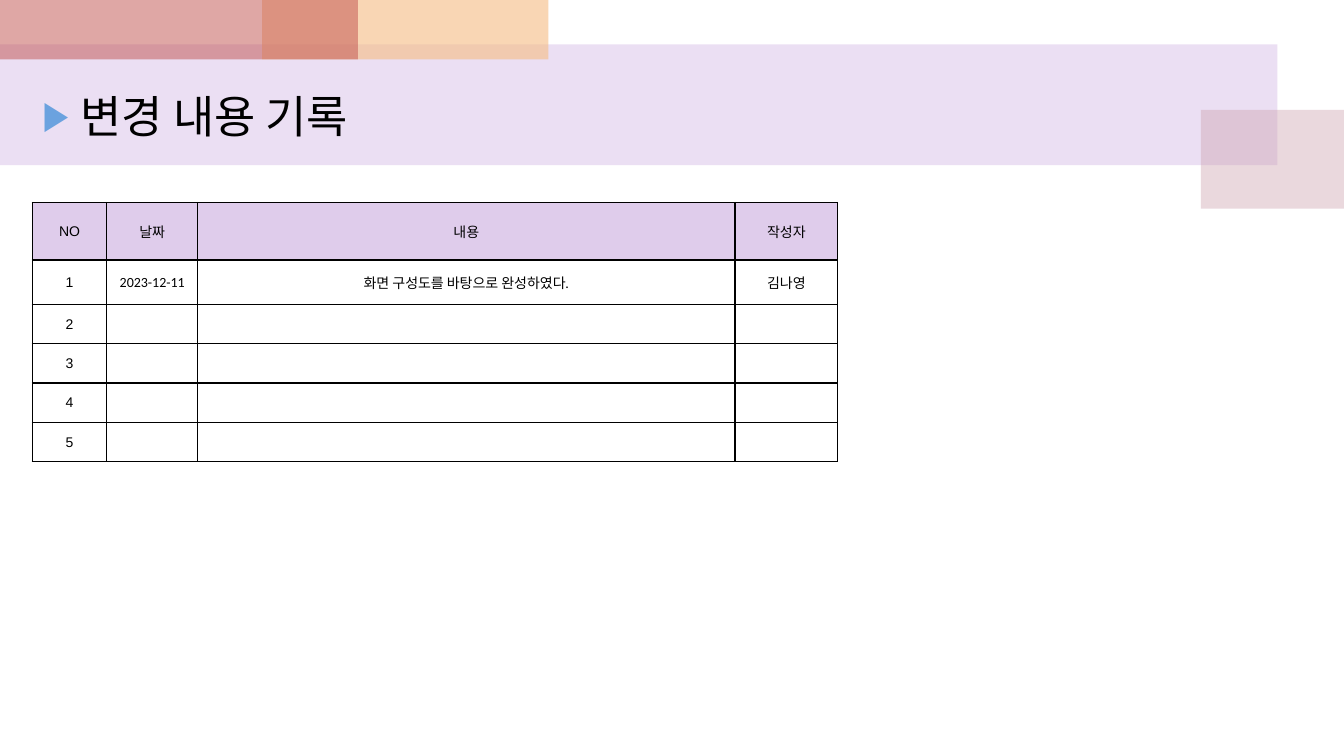
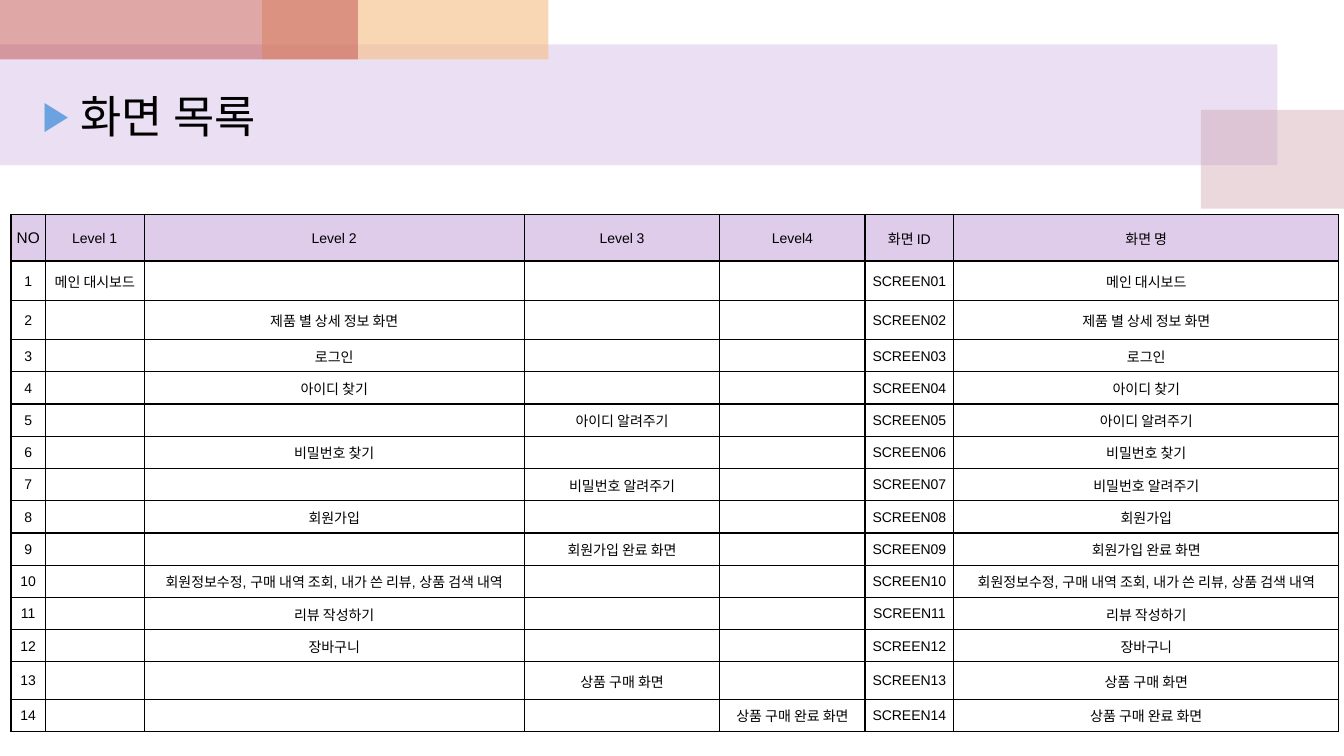
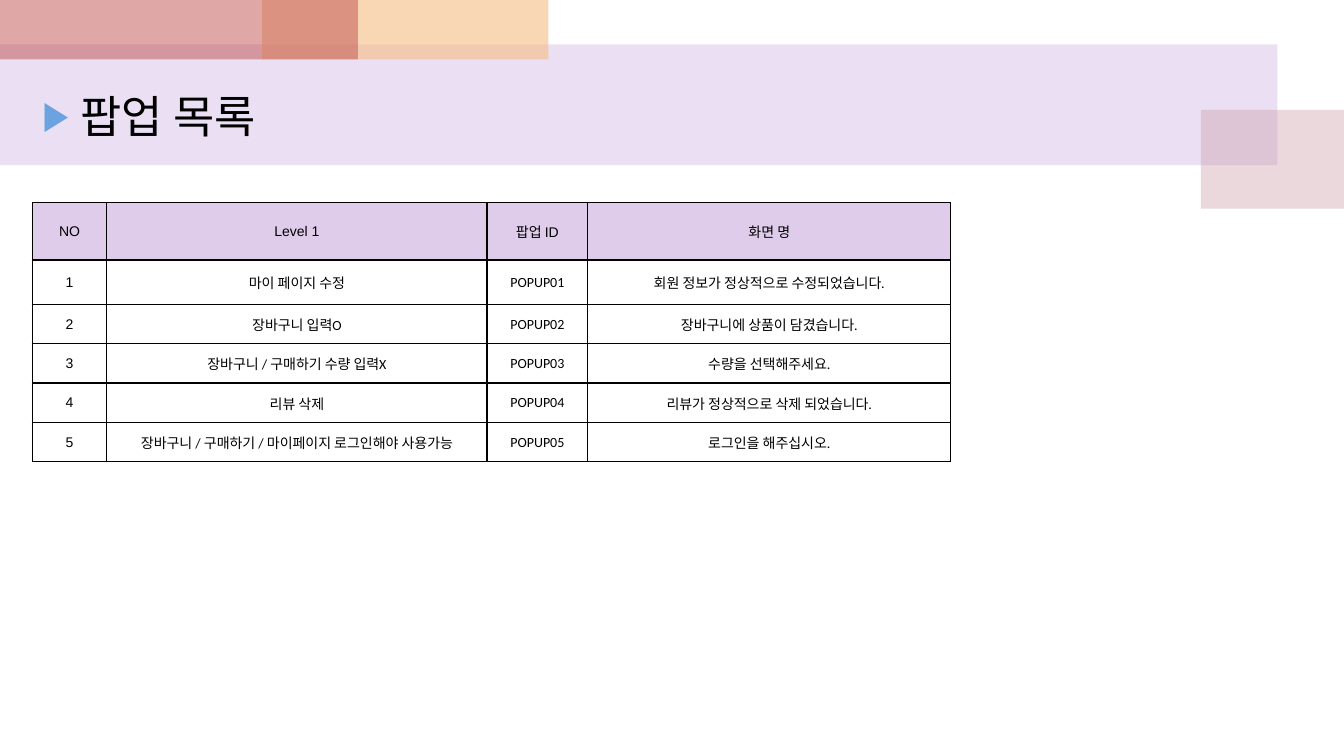
from dataclasses import dataclass

from lxml import etree
from pptx import Presentation
from pptx.dml.color import RGBColor
from pptx.enum.shapes import MSO_SHAPE
from pptx.enum.text import MSO_ANCHOR, MSO_AUTO_SIZE, PP_ALIGN
from pptx.oxml.ns import qn
from pptx.util import Inches, Pt

RECT = MSO_SHAPE.RECTANGLE
TOP, MIDDLE = MSO_ANCHOR.TOP, MSO_ANCHOR.MIDDLE
LEFT, CENTER = PP_ALIGN.LEFT, PP_ALIGN.CENTER


@dataclass(frozen=True)
class Theme:
    ink: str = "000000"
    head: str = "DFCCEB"
    bullet: str = "6BA2DF"
    sans: str = "Arial"
    text: str = "Calibri"
    title: int = 32
    cell: int = 10
    line: int = 1


THEME = Theme()

# left, top, width, height, colour, opacity in percent
BANDS = [
    (0, 0.44, 12.67, 1.2, "BF98D8", 30),
    (11.91, 1.09, 1.42, 0.98, "CC9EAC", 40),
    (2.6, 0, 2.84, 0.59, "F5BC83", 60),
    (0, 0, 3.55, 0.59, "C0504D", 50),
]

# level, screen name
SCREENS = [
    (1, "메인 대시보드"),
    (2, "제품 별 상세 정보 화면"),
    (2, "로그인"),
    (2, "아이디 찾기"),
    (3, "아이디 알려주기"),
    (2, "비밀번호 찾기"),
    (3, "비밀번호 알려주기"),
    (2, "회원가입"),
    (3, "회원가입 완료 화면"),
    (2, "회원정보수정, 구매 내역 조회, 내가 쓴 리뷰, 상품 검색 내역"),
    (2, "리뷰 작성하기"),
    (2, "장바구니"),
    (3, "상품 구매 화면"),
    (4, "상품 구매 완료 화면"),
]

# trigger, message
POPUPS = [
    ("마이 페이지 수정", "회원 정보가 정상적으로 수정되었습니다."),
    ("장바구니 입력O", "장바구니에 상품이 담겼습니다."),
    ("장바구니 / 구매하기 수량 입력X", "수량을 선택해주세요."),
    ("리뷰 삭제", "리뷰가 정상적으로 삭제 되었습니다."),
    ("장바구니 / 구매하기 / 마이페이지 로그인해야 사용가능", "로그인을 해주십시오."),
]

CHANGES = [("2023-12-11", "화면 구성도를 바탕으로 완성하였다.", "김나영")] + [("", "", "")] * 4

SHORT = [0.57, 0.44] + [0.39] * 4
PAGES = [
    dict(title="변경 내용 기록", at=(0.32, 2.01), font=THEME.text, no=10,
         cols=[0.74, 0.9, 5.33, 1.02], rows=SHORT,
         head=["NO", "날짜", "내용", "작성자"],
         body=CHANGES),
    dict(title="화면 목록", at=(0.11, 2.13), font=THEME.sans, no=11,
         cols=[0.34, 0.98, 3.77, 1.94, 1.44, 0.88, 3.82],
         rows=[0.46, 0.39, 0.39] + [0.32] * 10 + [0.37, 0.32],
         head=["NO", "Level 1", "Level 2", "Level 3", "Level4", "화면 ID", "화면 명"],
         body=[[name if level == n else "" for n in range(1, 5)] + [f"SCREEN{i:02}", name]
               for i, (level, name) in enumerate(SCREENS, 1)]),
    dict(title="팝업 목록", at=(0.32, 2.01), font=THEME.text, no=10,
         cols=[0.74, 3.77, 1, 3.6], rows=SHORT,
         head=["NO", "Level 1", "팝업 ID", "화면 명"],
         body=[(cause, f"POPUP{i:02}", note) for i, (cause, note) in enumerate(POPUPS, 1)]),
]


def rgb(code):
    return RGBColor.from_string(code)


def add(parent, tag, **attrs):
    """Append a child XML element and return it."""
    return etree.SubElement(parent, qn(tag), {k: str(v) for k, v in attrs.items()})


def style(para, font, size):
    for run in para.runs:
        run.font.name, run.font.size = font, Pt(size)
        run.font.color.rgb = rgb(THEME.ink)


def add_bands(slide, layout):
    """Draw the bands on a slide, then move them to its layout."""
    for *box, color, alpha in BANDS:
        band = slide.shapes.add_shape(RECT, *map(Inches, box))
        band.shadow.inherit = False
        band.line.fill.background()
        band.fill.solid()
        band.fill.fore_color.rgb = rgb(color)
        add(band.element.find(".//" + qn("a:srgbClr")), "a:alpha", val=alpha * 1000)
        layout.shapes.element.append(band.element)


def set_title(slide, text):
    title = slide.shapes.title
    title.left, title.top, title.width, title.height = map(Inches, (0.32, 0.83, 6.77, 0.32))
    frame = title.text_frame
    frame.text = text
    frame.word_wrap = True
    frame.auto_size = MSO_AUTO_SIZE.NONE
    frame.vertical_anchor = TOP
    para = frame.paragraphs[0]
    para.alignment = LEFT
    style(para, THEME.text, THEME.title)
    props = title.element.find(".//" + qn("a:pPr"))
    props.set("marL", str(Inches(0.38)))
    props.set("indent", str(Inches(-0.38)))
    add(add(props, "a:spcBef"), "a:spcPct", val=20000)
    add(add(props, "a:buClr"), "a:srgbClr", val=THEME.bullet)
    add(props, "a:buSzPct", val=90000)
    add(props, "a:buFont", typeface=THEME.sans)
    add(props, "a:buChar", char="▶")


def set_cell(cell, text, font, size, fill, side):
    cell.text = text
    cell.vertical_anchor = MIDDLE
    cell.margin_left = cell.margin_right = Inches(side)
    cell.margin_top, cell.margin_bottom = Inches(0.01), 0
    para = cell.text_frame.paragraphs[0]
    para.alignment = CENTER
    style(para, font, size)
    if not text:
        add(para._p, "a:endParaRPr", sz=size * 100)
    props = cell._tc.get_or_add_tcPr()
    for edge in "LRTB":
        line = add(props, f"a:ln{edge}", w=Pt(THEME.line))
        add(add(line, "a:solidFill"), "a:srgbClr", val=THEME.ink)
    if fill:
        cell.fill.solid()
        cell.fill.fore_color.rgb = rgb(fill)
    else:
        cell.fill.background()


def add_grid(slide, page):
    cols, rows = page["cols"], page["rows"]
    box = map(Inches, (*page["at"], sum(cols), sum(rows)))
    table = slide.shapes.add_table(len(rows), len(cols), *box).table
    table.first_row = table.horz_banding = False
    for col, width in zip(table.columns, cols):
        col.width = Inches(width)
    for row, height in zip(table.rows, rows):
        row.height = Inches(height)
    data = [page["head"]] + [[str(i), *row] for i, row in enumerate(page["body"], 1)]
    for r, row in enumerate(data):
        for c, text in enumerate(row):
            edge = r == 0 or c == 0
            set_cell(table.cell(r, c), text,
                     font=THEME.sans if edge else page["font"],
                     size=page["no"] if r == c == 0 else THEME.cell,
                     fill=THEME.head if r == 0 else None,
                     side=0.04 if edge else 0.01)


def main():
    prs = Presentation()
    prs.slide_width, prs.slide_height = Inches(13.33), Inches(7.5)
    layout = prs.slide_layouts.get_by_name("Title Only")
    for i, page in enumerate(PAGES):
        slide = prs.slides.add_slide(layout)
        if i == 0:
            add_bands(slide, layout)
        set_title(slide, page["title"])
        add_grid(slide, page)
    prs.save("out.pptx")


if __name__ == "__main__":
    main()
